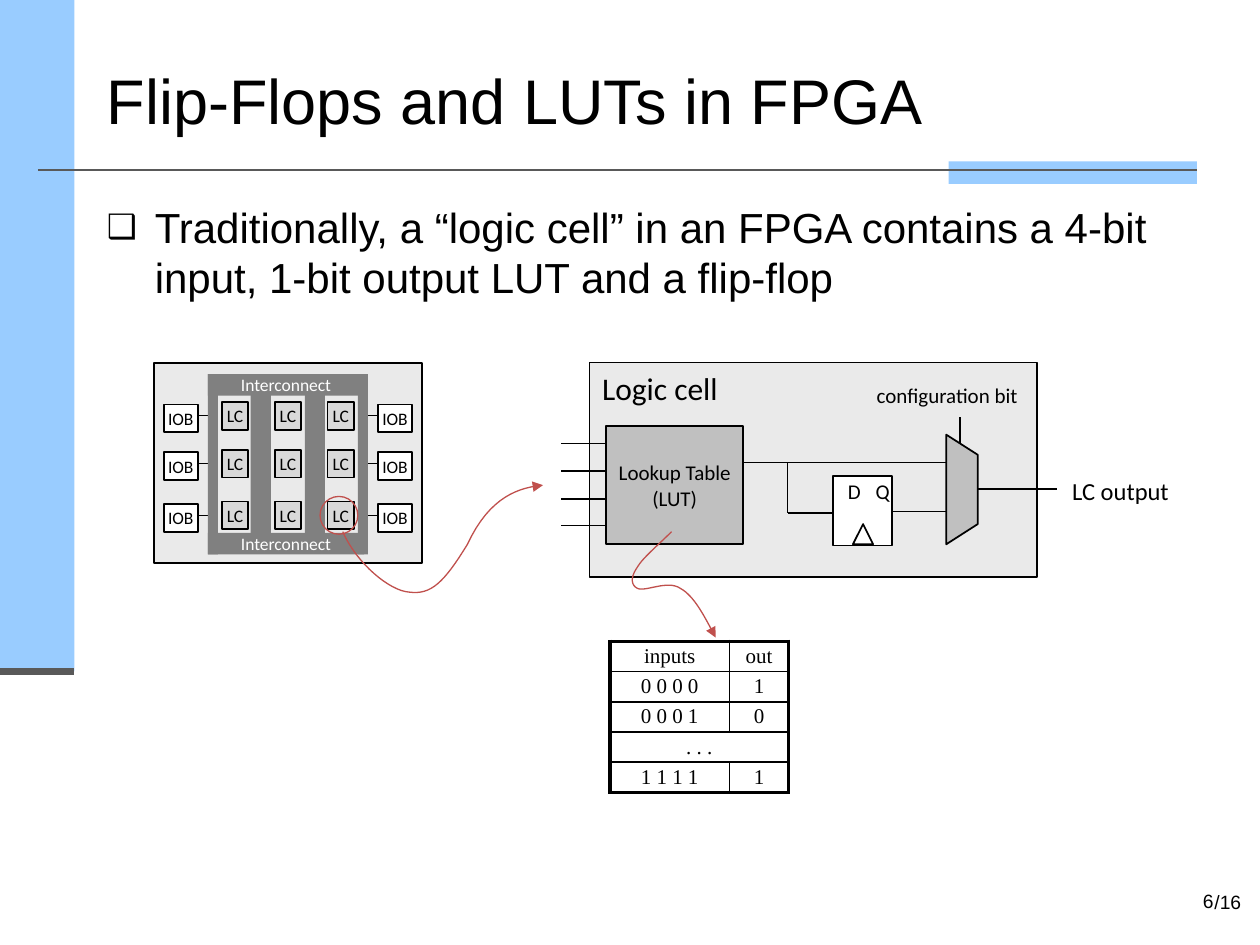
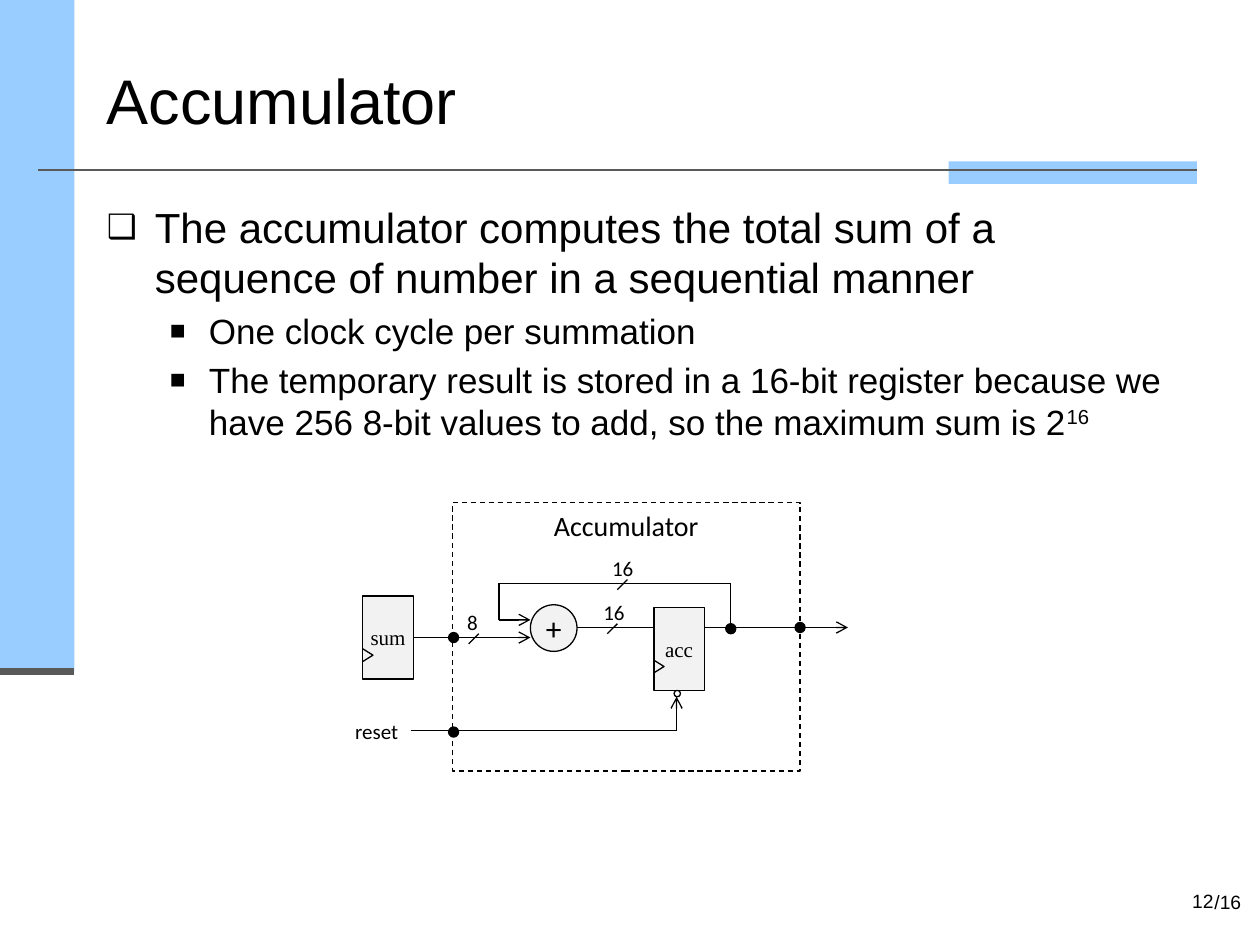
from dataclasses import dataclass

import lxml.etree
import pptx
import pptx.dml.color
import pptx.enum.dml
import pptx.enum.shapes
import pptx.enum.text
import pptx.oxml.ns
import pptx.util

PX = 9144
BLACK, WHITE, BLUE, RED = "000000", "FFFFFF", "99CCFF", "C0504D"
GREY, PALE, DARK, SOFT = "595959", "EAEAEA", "808080", "F2F2F2"
SILVER, LIGHT = "C0C0C0", "D9D9D9"
ARIAL, SANS, SERIF = "Arial", "Calibri", "Times New Roman"
KIND = pptx.enum.shapes.MSO_SHAPE
ALIGN = pptx.enum.text.PP_ALIGN
ANCHOR = pptx.enum.text.MSO_ANCHOR
qn = pptx.oxml.ns.qn


@dataclass(frozen=True)
class Font:
    size: int
    face: str = SANS
    color: str = BLACK


@dataclass(frozen=True)
class Pen:
    width: float = 0.75
    color: str = BLACK
    head: str = ""
    dash: bool = False


@dataclass(frozen=True)
class Bullet:
    sign: str
    scale: int
    left: int
    hang: int
    size: int


TOP = Bullet("❑", 80, 38, 38, 24)
SUB = Bullet("■", 75, 81, 31, 20)
THIN, BOLD = Pen(), Pen(1)
OPEN = Pen(head="arrow")
CURVE = Pen(color=RED, head="triangle")
SMALL, MID, LARGE = Font(10), Font(12), Font(18)
ROMAN = Font(12, SERIF)


def px(n: float) -> int:
    return pptx.util.Emu(round(n * PX))


def rgb(code: str):
    return pptx.dml.color.RGBColor.from_string(code)


def child(node, tag: str, **attrs: str):
    return lxml.etree.SubElement(node, qn(tag), attrs)


def style(par, font: Font) -> None:
    for run in par.runs:
        run.font.size = pptx.util.Pt(font.size)
        run.font.name = font.face
        run.font.color.rgb = rgb(font.color)


def write(frame, text: str, font: Font, align=ALIGN.LEFT,
          anchor=ANCHOR.TOP, wrap: bool = True) -> None:
    frame.text = text
    frame.word_wrap = wrap
    frame.vertical_anchor = anchor
    for par in frame.paragraphs:
        par.alignment = align
        style(par, font)


def ink(line, pen: Pen) -> None:
    line.color.rgb = rgb(pen.color)
    line.width = pptx.util.Pt(pen.width)
    if pen.dash:
        line.dash_style = pptx.enum.dml.MSO_LINE.DASH
    if pen.head:
        child(line._get_or_add_ln(), "a:tailEnd", type=pen.head)


def paint(shape, fill: str | None, pen: Pen | None) -> None:
    shape.shadow.inherit = False
    if fill:
        shape.fill.solid()
        shape.fill.fore_color.rgb = rgb(fill)
    else:
        shape.fill.background()
    if pen:
        ink(shape.line, pen)
    else:
        shape.line.fill.background()


def draw(slide, box: tuple, fill: str | None, pen: Pen | None = None,
         kind=KIND.RECTANGLE):
    shape = slide.shapes.add_shape(kind, *map(px, box))
    paint(shape, fill, pen)
    return shape


def block(slide, box: tuple, fill: str, pen: Pen | None, text: str, font: Font,
          kind=KIND.RECTANGLE) -> None:
    frame = draw(slide, box, fill, pen, kind).text_frame
    frame.margin_left = frame.margin_right = 0
    frame.margin_top = frame.margin_bottom = 0
    write(frame, text, font, ALIGN.CENTER, ANCHOR.MIDDLE, False)


def label(slide, box: tuple, text: str, font: Font, align=ALIGN.LEFT,
          anchor=ANCHOR.TOP, wrap: bool = False) -> None:
    frame = slide.shapes.add_textbox(*map(px, box)).text_frame
    write(frame, text, font, align, anchor, wrap)


def wire(slide, points: list, pen: Pen = THIN) -> None:
    straight = pptx.enum.shapes.MSO_CONNECTOR.STRAIGHT
    last = len(points) - 2
    for i, (start, end) in enumerate(zip(points, points[1:])):
        line = slide.shapes.add_connector(straight, *map(px, start + end))
        ink(line.line, pen if i == last else Pen(pen.width, pen.color))
        child(line._element.spPr, "a:effectLst")


def trace(slide, points: list, fill: str | None, pen: Pen, close: bool = False) -> None:
    spots = [(px(x), px(y)) for x, y in points]
    form = slide.shapes.build_freeform(*spots[0], scale=1.0)
    form.add_line_segments(spots[1:], close=close)
    paint(form.convert_to_shape(), fill, pen)


def curve(slide, knots: list, steps: int = 16) -> None:
    points = [knots[0]]
    for i in range(0, len(knots) - 1, 3):
        part = knots[i:i + 4]
        for n in range(1, steps + 1):
            t = n / steps
            u = 1 - t
            rates = (u ** 3, 3 * u * u * t, 3 * u * t * t, t ** 3)
            points.append(tuple(sum(r * k[axis] for r, k in zip(rates, part))
                                for axis in (0, 1)))
    trace(slide, points, None, CURVE)


def dot(slide, x: int, y: int) -> None:
    draw(slide, (x - 4, y - 4, 8, 8), BLACK, THIN, KIND.OVAL)


def outline(slide, items: list) -> None:
    frame = slide.shapes.add_textbox(*map(px, (75, 155, 875, 515))).text_frame
    frame.word_wrap = True
    for i, (mark, text, power) in enumerate(items):
        par = frame.add_paragraph() if i else frame.paragraphs[0]
        par.text = text
        if power:
            run = par.add_run()
            run.text = power
            run._r.get_or_add_rPr().set("baseline", "30000")
        style(par, Font(mark.size, ARIAL))
        par.space_before = pptx.util.Pt(mark.size / 5)
        props = par._p.get_or_add_pPr()
        props.set("marL", str(px(mark.left)))
        props.set("indent", str(-px(mark.hang)))
        child(props, "a:buSzPct", val=str(mark.scale * 1000))
        child(props, "a:buFont", typeface=ARIAL)
        child(props, "a:buChar", char=mark.sign)


def base(deck, title: str, page: int):
    slide = deck.slides.add_slide(deck.slide_layouts[6])
    draw(slide, (753, 128, 197, 18), BLUE)
    draw(slide, (0, 0, 59, 533), BLUE)
    wire(slide, [(0, 533), (59, 533)], Pen(4, GREY))
    wire(slide, [(30, 135), (950, 135)], Pen(1.5, GREY))
    note = Font(11, ARIAL)
    label(slide, (954, 702, 42, 29), "/16", note)
    label(slide, (717, 695, 256, 40), str(page), note, ALIGN.RIGHT, ANCHOR.MIDDLE, True)
    label(slide, (75, 30, 875, 98), title, Font(36, ARIAL), anchor=ANCHOR.MIDDLE, wrap=True)
    return slide


def edge(cell, sides: dict) -> None:
    props = cell._tc.get_or_add_tcPr()
    for side, width in sides.items():
        line = child(props, f"a:ln{side}", w=str(pptx.util.Pt(width)))
        child(child(line, "a:solidFill"), "a:srgbClr", val=BLACK)


def truth(slide, rows: list) -> None:
    grid = slide.shapes.add_table(len(rows), 2, *map(px, (484, 509, 142, 110))).table
    grid.first_row = grid.horz_banding = False
    for col, width in zip(grid.columns, (95, 47)):
        col.width = px(width)
    end = len(rows) - 1
    for r, texts in enumerate(rows):
        grid.rows[r].height = px(22)
        if len(texts) == 1:
            grid.cell(r, 0).merge(grid.cell(r, 1))
        for c in range(2):
            cell = grid.cell(r, c)
            right = c == 1 or cell.is_merge_origin
            edge(cell, {"L": 1 if c else 2.25, "R": 2.25 if right else 1,
                        "T": 1 if r else 2.25, "B": 2.25 if r == end else 1})
            cell.fill.background()
            cell.margin_left = cell.margin_right = px(2)
            cell.margin_top = cell.margin_bottom = px(2)
            cell.vertical_anchor = ANCHOR.MIDDLE
            if c < len(texts):
                par = cell.text_frame.paragraphs[0]
                par.text = texts[c]
                par.alignment = ALIGN.CENTER
                style(par, ROMAN)


def array(slide) -> None:
    draw(slide, (122, 288, 213, 159), PALE, BOLD)
    for y in (319, 357, 398):
        for x in (176, 218, 260):
            block(slide, (x, y, 21, 22), LIGHT, BOLD, "LC", SMALL)
        for x, start in ((130, 157), (300, 292)):
            block(slide, (x, y + 2, 27, 22), WHITE, BOLD, "IOB", SMALL)
            wire(slide, [(start, y + 11), (start + 8, y + 11)])
    for x in (199, 242):
        draw(slide, (x, 301, 16, 130), DARK)
    for y in (297, 423):
        block(slide, (165, y, 124, 17), DARK, None, "Interconnect", Font(10, SANS, WHITE))
    for x in (165, 284):
        draw(slide, (x, 297, 8, 143), DARK)
    draw(slide, (254, 394, 30, 30), None, Pen(color=RED), KIND.OVAL)
    curve(slide, [(272, 422), (283, 447), (309, 469), (325, 470), (342, 472),
                  (352, 463), (371, 432), (389, 393), (413, 387), (431, 385)])


def logic(slide) -> None:
    write(draw(slide, (468, 288, 355, 170), PALE, THIN).text_frame, "Logic cell", LARGE)
    block(slide, (481, 338, 109, 94), SILVER, BOLD, "Lookup Table\n(LUT)", MID)
    draw(slide, (661, 378, 47, 55), WHITE, BOLD)
    label(slide, (663, 375, 31, 30), "D", MID)
    label(slide, (685, 375, 31, 30), "Q", MID)
    draw(slide, (677, 416, 16, 16), WHITE, BOLD, KIND.ISOSCELES_TRIANGLE)
    for y in (352, 374, 396, 417):
        wire(slide, [(481, y), (445, y)], BOLD)
    wire(slide, [(589, 367), (752, 367)], BOLD)
    wire(slide, [(625, 367), (625, 407), (661, 407)], BOLD)
    wire(slide, [(708, 406), (751, 406)], BOLD)
    wire(slide, [(762, 367), (762, 331)], BOLD)
    wire(slide, [(776, 388), (839, 388)], BOLD)
    label(slide, (686, 299, 137, 30), "configuration bit", MID)
    label(slide, (841, 373, 98, 34), "LC output", Font(14))
    trace(slide, [(751, 432), (776, 416), (776, 361), (751, 345)], SILVER, BOLD, True)
    curve(slide, [(533, 422), (522, 433), (510, 443), (506, 450), (501, 457),
                  (500, 464), (506, 467), (512, 470), (530, 460), (540, 467),
                  (551, 473), (559, 489), (568, 506)])


def store(slide, x: int, y: int, name: str) -> None:
    block(slide, (x, y, 40, 66), SOFT, THIN, name, ROMAN)
    trace(slide, [(x, y + 42), (x + 8, y + 47), (x, y + 52)], None, THIN)


def adder(slide) -> None:
    frame = draw(slide, (359, 399, 276, 213), WHITE, Pen(dash=True)).text_frame
    write(frame, "Accumulator", Font(16), ALIGN.CENTER)
    block(slide, (421, 480, 37, 37), SOFT, THIN, "+", LARGE, KIND.OVAL)
    store(slide, 288, 473, "sum")
    wire(slide, [(580, 495), (580, 463), (396, 463), (396, 492), (421, 492)], OPEN)
    wire(slide, [(328, 506), (421, 506)], OPEN)
    wire(slide, [(458, 498), (673, 498)], OPEN)
    store(slide, 519, 482, "acc")
    for x, y in ((490, 460), (482, 495), (372, 503)):
        wire(slide, [(x + 8, y), (x, y + 8)])
    for box, text in (((476, 436, 37, 30), "16"), ((469, 471, 37, 30), "16"),
                      ((361, 479, 29, 30), "8"), ((272, 565, 55, 30), "reset")):
        label(slide, box, text, MID)
    draw(slide, (535, 548, 5, 5), WHITE, THIN, KIND.OVAL)
    wire(slide, [(326, 580), (537, 580), (537, 553)], OPEN)
    for x, y in ((360, 506), (580, 499), (635, 498), (360, 581)):
        dot(slide, x, y)


def main() -> None:
    deck = pptx.Presentation()
    deck.slide_width, deck.slide_height = px(1000), px(750)

    slide = base(deck, "Flip-Flops and LUTs in FPGA", 6)
    outline(slide, [(TOP, "Traditionally, a “logic cell” in an FPGA contains a 4-bit "
                     "input, 1-bit output LUT and a flip-flop", "")])
    truth(slide, [("inputs", "out"), ("0 0 0 0", "1"), ("0 0 0 1", "0"),
                  (". . .",), ("1 1 1 1", "1")])
    array(slide)
    logic(slide)

    slide = base(deck, "Accumulator", 12)
    outline(slide, [
        (TOP, "The accumulator computes the total sum of a sequence of number "
         "in a sequential manner", ""),
        (SUB, "One clock cycle per summation", ""),
        (SUB, "The temporary result is stored in a 16-bit register because we have "
         "256 8-bit values to add, so the maximum sum is 2", "16")])
    adder(slide)
    deck.save("out.pptx")


if __name__ == "__main__":
    main()
